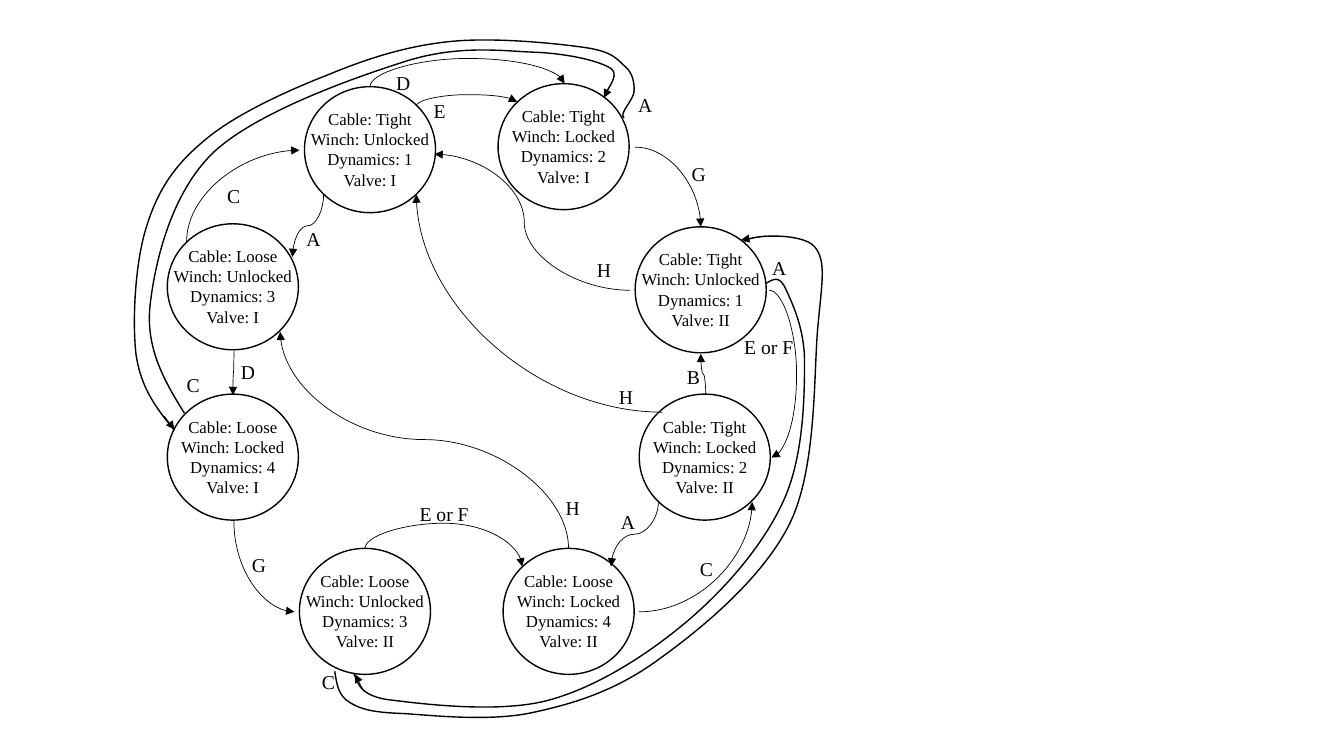
from lxml import etree
from pptx import Presentation
from pptx.dml.color import RGBColor
from pptx.enum.shapes import MSO_CONNECTOR, MSO_SHAPE
from pptx.enum.text import MSO_AUTO_SIZE, PP_ALIGN
from pptx.oxml.ns import qn
from pptx.util import Pt

PX = 9144  # EMU per px, 100 px to the inch
BLACK = RGBColor(0, 0, 0)
WHITE = RGBColor(255, 255, 255)
FONT = "Times New Roman"
OVAL = MSO_SHAPE.OVAL
LINE = MSO_CONNECTOR.STRAIGHT
CURVE = MSO_CONNECTOR.CURVE
CENTER = PP_ALIGN.CENTER
GROW = MSO_AUTO_SIZE.SHAPE_TO_FIT_TEXT

# Left, top, cable, winch, dynamics, valve
STATES = [
    (302, 86, "Tight", "Unlocked", 1, "I"),
    (494, 83, "Tight", "Locked", 2, "I"),
    (166, 222, "Loose", "Unlocked", 3, "I"),
    (630, 225, "Tight", "Unlocked", 1, "II"),
    (297, 544, "Loose", "Unlocked", 3, "II"),
    (166, 391, "Loose", "Locked", 4, "I"),
    (634, 391, "Tight", "Locked", 2, "II"),
    (499, 544, "Loose", "Locked", 4, "II"),
]

# Start, end, whether the curve leaves vertically, bend position (None: one turn)
CURVES = [
    ((630, 146), (695, 225), False, None),
    ((367, 86), (560, 83), True, 58),
    ((763, 288), (765, 454), False, 790),
    ((700, 391), (695, 351), True, 371),
    ((657, 409), (413, 193), False, None),
    ((634, 607), (746, 498), False, None),
    ((413, 105), (513, 101), True, 94),
    ((564, 544), (278, 329), True, 436),
    ((185, 240), (297, 149), True, None),
    ((625, 288), (431, 153), False, 520),
    ((232, 517), (292, 607), True, None),
    ((362, 544), (518, 562), True, 519),
    ((321, 193), (290, 255), True, 224),
    ((653, 498), (606, 562), True, 530),
    ((232, 348), (231, 392), True, 370),
]

# Start point, then two controls and an end for each piece
LOOPS = [
    [(760, 281), (767, 277), (773, 273), (779, 286), (785, 299), (798, 325),
     (798, 359), (798, 394), (797, 452), (778, 495), (759, 538), (722, 582),
     (682, 616), (643, 649), (592, 682), (543, 695), (493, 708), (416, 698),
     (384, 694), (352, 689), (355, 672), (351, 669)],
    [(332, 666), (334, 678), (335, 690), (347, 697), (358, 704), (371, 707),
     (401, 708), (431, 710), (486, 716), (528, 707), (570, 698), (612, 685),
     (655, 653), (698, 622), (758, 572), (784, 518), (810, 463), (807, 372),
     (811, 326), (815, 281), (820, 259), (808, 245), (796, 230), (740, 233),
     (739, 240)],
    [(183, 410), (163, 378), (144, 345), (149, 302), (154, 259), (170, 191),
     (212, 151), (255, 111), (351, 77), (405, 60), (458, 44), (501, 51),
     (534, 52), (568, 54), (595, 61), (606, 68), (617, 75), (596, 95),
     (601, 95)],
    [(173, 427), (156, 406), (140, 386), (135, 352), (131, 319), (134, 261),
     (145, 226), (156, 190), (172, 165), (202, 140), (232, 114), (285, 90),
     (326, 74), (367, 57), (406, 45), (449, 41), (491, 37), (551, 43),
     (579, 47), (608, 51), (612, 59), (620, 66), (628, 73), (629, 82),
     (629, 90), (629, 99), (613, 113), (619, 117)],
]

# Arrow tips of the loops
TIPS = [
    ((606, 83), (599, 97)),
    ((361, 686), (352, 669)),
    ((760, 234), (735, 238)),
    ((163, 413), (173, 426)),
]

# Box width, then left, top and text of each label
LABELS = {
    36: [(622, 87, "A"), (293, 220, "A"), (755, 249, "A"), (605, 501, "A"),
         (675, 156, "G"), (239, 544, "G"), (550, 487, "H"), (603, 377, "H"),
         (581, 251, "H"), (418, 93, "E"), (382, 65, "D"), (228, 352, "D")],
    71: [(405, 493, "E or F"), (727, 327, "E or F")],
    18: [(311, 660, "C"), (686, 548, "C"), (177, 365, "C"), (217, 178, "C"),
         (673, 357, "B")],
}


def add_text(slide, x, y, w, h, text, size):
    box = slide.shapes.add_textbox(x * PX, y * PX, w * PX, h * PX)
    frame = box.text_frame
    frame.word_wrap = True
    frame.auto_size = GROW
    frame.text = text
    for para in frame.paragraphs:
        para.alignment = CENTER
        for run in para.runs:
            run.font.name = FONT
            run.font.size = Pt(size)
            run.font.color.rgb = BLACK


def add_state(slide, x, y, cable, winch, mode, valve):
    disc = slide.shapes.add_shape(OVAL, x * PX, y * PX, 130 * PX, 125 * PX)
    disc.shadow.inherit = False
    disc.fill.solid()
    disc.fill.fore_color.rgb = WHITE
    disc.line.color.rgb = BLACK
    disc.line.width = Pt(1)
    text = f"Cable: {cable}\nWinch: {winch}\nDynamics: {mode}\nValve: {valve}"
    add_text(slide, x - 5, y + 17, 140, 91, text, 12)


def add_arrow(slide, kind, start, end):
    ends = [v * PX for v in (*start, *end)]
    arrow = slide.shapes.add_connector(kind, *ends)
    arrow.line.color.rgb = BLACK
    arrow.line.width = Pt(0.5)
    props = arrow._element.spPr
    etree.SubElement(props.find(qn("a:ln")), qn("a:tailEnd"), type="triangle")
    etree.SubElement(props, qn("a:effectLst"))
    return arrow


def add_curve(slide, start, end, upright, bend):
    arrow = add_arrow(slide, CURVE, start, end)
    props = arrow._element.spPr
    (x1, y1), (x2, y2) = start, end
    if upright:
        # A quarter turn swaps the sides of the box about its centre
        w, h = abs(y2 - y1), abs(x2 - x1)
        arrow.left = (x1 + x2 - w) * PX // 2
        arrow.top = (y1 + y2 - h) * PX // 2
        arrow.width, arrow.height = w * PX, h * PX
        frame = props.find(qn("a:xfrm"))
        frame.set("rot", str(90 * 60000))
        frame.set("flipH", str(int(y2 < y1)))
        frame.set("flipV", str(int(x2 > x1)))
    geom = props.find(qn("a:prstGeom"))
    if bend is None:
        geom.set("prst", "curvedConnector2")
        return
    first, last = (y1, y2) if upright else (x1, x2)
    ratio = round((bend - first) / (last - first) * 100000)
    guides = geom.find(qn("a:avLst"))
    etree.SubElement(guides, qn("a:gd"), name="adj1", fmla=f"val {ratio}")


def add_loop(slide, points):
    pen = slide.shapes.build_freeform(*points[0], scale=PX)
    pen.add_line_segments(points[1:], close=False)
    loop = pen.convert_to_shape()
    loop.shadow.inherit = False
    loop.fill.background()
    loop.line.color.rgb = BLACK
    loop.line.width = Pt(1)
    # Join each three straight steps into one cubic piece
    route = next(loop._element.iter(qn("a:path")))
    steps = route.findall(qn("a:lnTo"))
    for i in range(0, len(steps), 3):
        cubic = etree.SubElement(route, qn("a:cubicBezTo"))
        for step in steps[i:i + 3]:
            cubic.append(step[0])
            route.remove(step)


def main():
    deck = Presentation()
    deck.slide_width, deck.slide_height = 1333 * PX, 750 * PX
    slide = deck.slides.add_slide(deck.slide_layouts[6])

    # States
    for state in STATES:
        add_state(slide, *state)

    # Transitions
    for curve in CURVES:
        add_curve(slide, *curve)
    for loop in LOOPS:
        add_loop(slide, loop)
    for start, end in TIPS:
        add_arrow(slide, LINE, start, end)

    # Labels
    for width, marks in LABELS.items():
        for x, y, text in marks:
            add_text(slide, x, y, width, 34, text, 14)

    deck.save("out.pptx")


if __name__ == "__main__":
    main()
